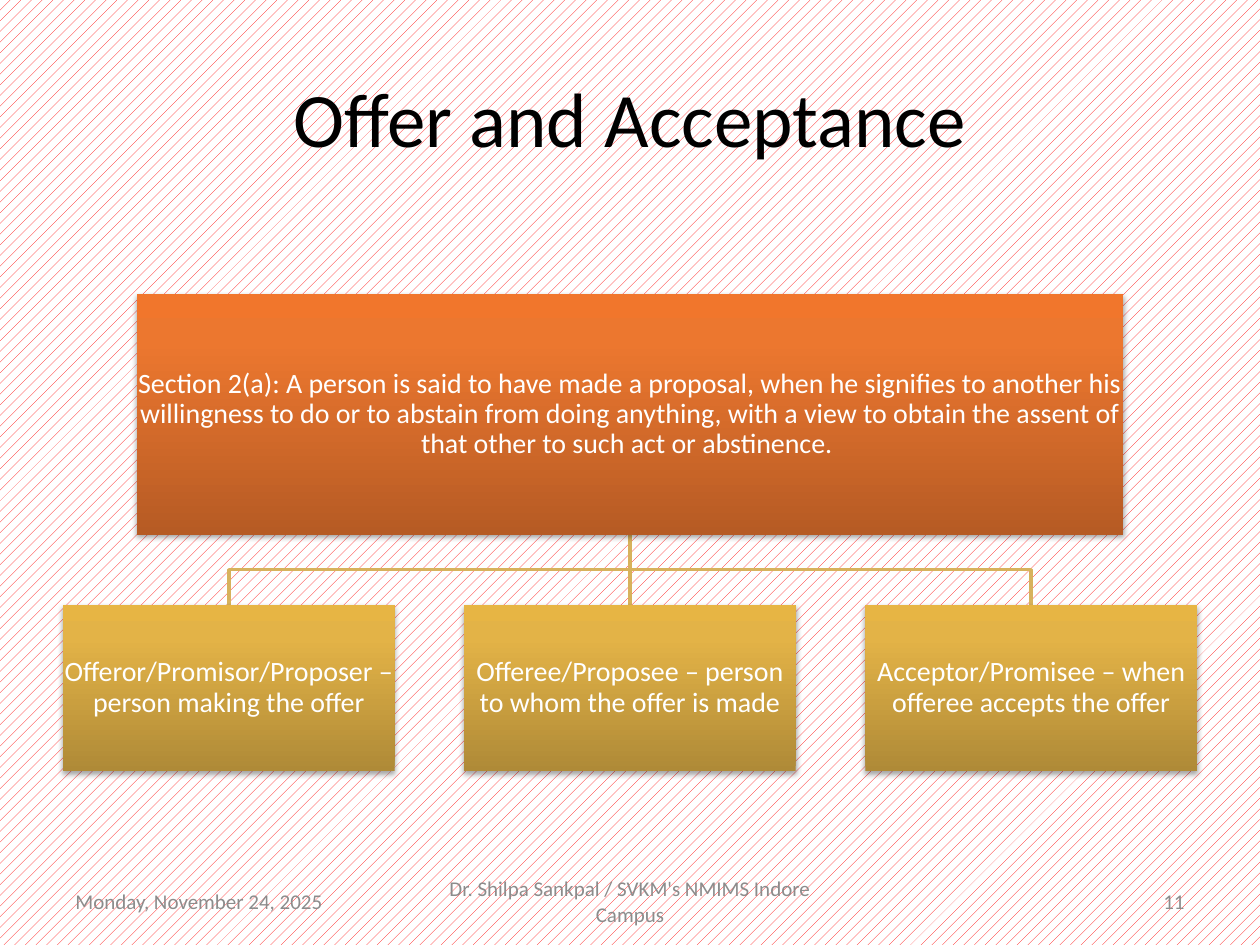
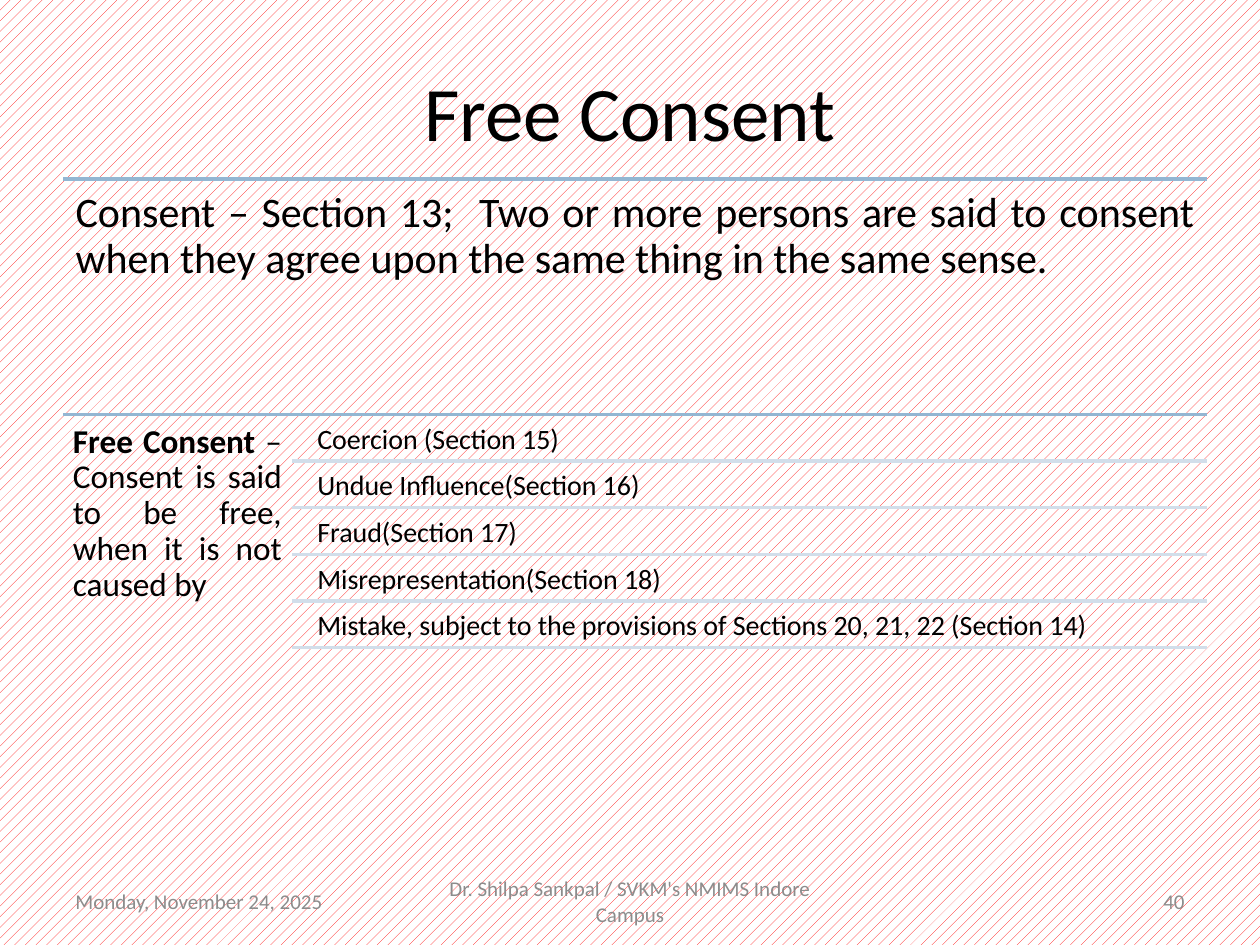
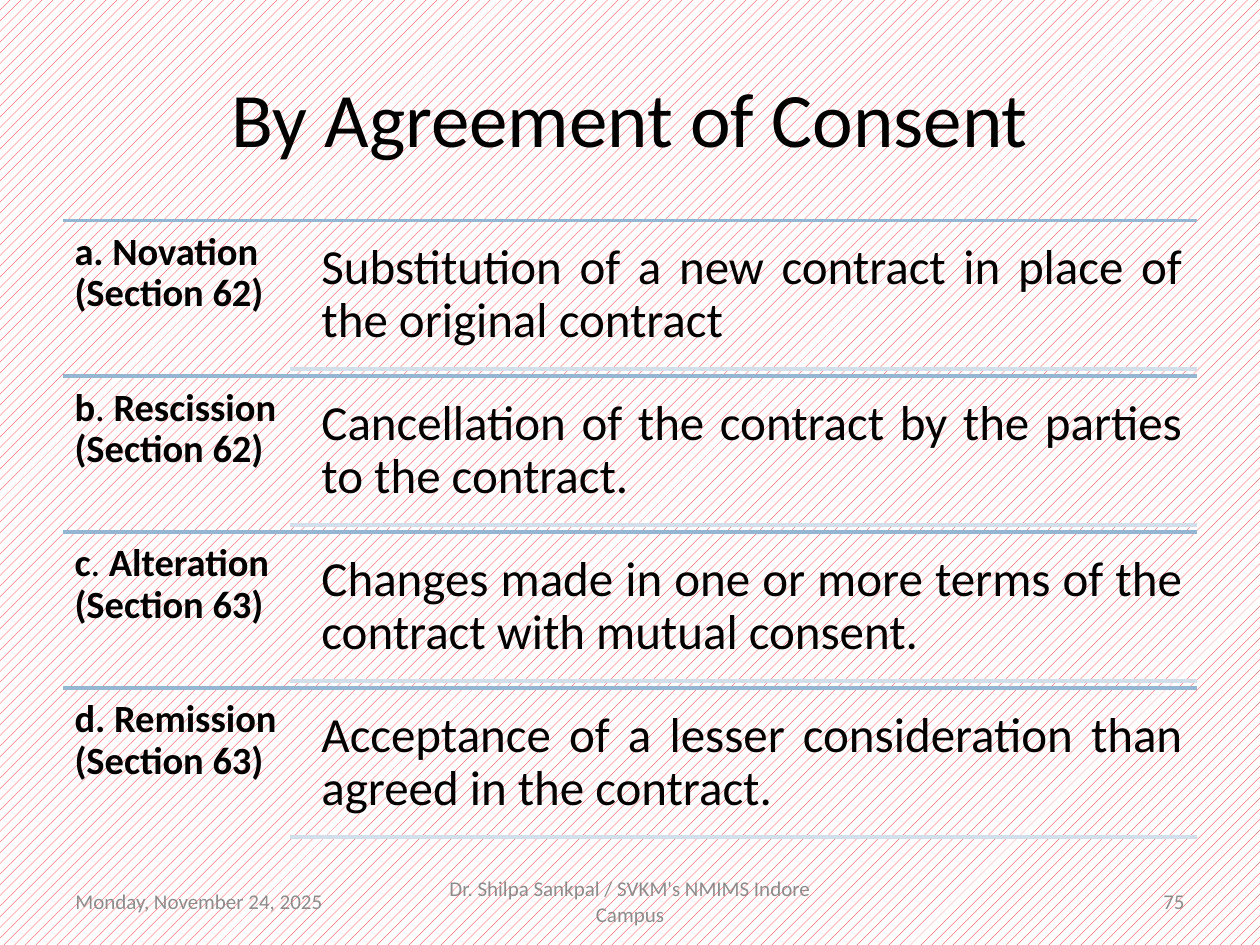
import copy
from dataclasses import dataclass

import lxml.etree
import pptx
import pptx.dml.color
import pptx.enum.dml
import pptx.enum.shapes
import pptx.enum.text
import pptx.oxml.ns
import pptx.util

Pt = pptx.util.Pt
RGB = pptx.dml.color.RGBColor.from_string
qn = pptx.oxml.ns.qn
ALIGN = pptx.enum.text.PP_ALIGN
ANCHOR = pptx.enum.text.MSO_ANCHOR


@dataclass(frozen=True)
class Theme:
    font: str = "Calibri"
    ink: str = "000000"
    white: str = "FFFFFF"
    hatch: str = "FF0000"
    muted: str = "8C8C8C"
    strong_rule: str = "94B6D2"
    soft_rule: str = "D2DEEA"
    branch: str = "D8B25C"
    orange: tuple = ("B65B24", "EC772F", "F1762C")
    gold: tuple = ("AF8A37", "E3B347", "E7B544")
    title_size: int = 44
    box_size: int = 16
    footer_size: int = 12
    rule_width: int = 2


T = Theme()
DATE = "Monday, November 24, 2025"
AUTHOR = "Dr. Shilpa Sankpal / SVKM's NMIMS Indore Campus"


# Text helpers
def write(tf, runs, size, color=T.ink, align=ALIGN.LEFT, spacing=None, inset=None,
          anchor=ANCHOR.TOP):
    """Fill a text frame with one paragraph of (text, bold) runs."""
    tf.word_wrap = True
    tf.vertical_anchor = anchor
    if inset is not None:
        tf.margin_left = tf.margin_right = tf.margin_top = tf.margin_bottom = Pt(inset)
    p = tf.paragraphs[0]
    p.alignment = align
    if spacing:
        p.line_spacing = spacing
    for text, bold in runs:
        r = p.add_run()
        r.text = text
        r.font.name = T.font
        r.font.size = Pt(size)
        r.font.bold = bold
        r.font.color.rgb = RGB(color)


def add_text(s, box, runs, size, **style):
    sp = s.shapes.add_textbox(*map(Pt, box))
    write(sp.text_frame, runs, size, **style)


# Line and box helpers
def add_rule(s, x1, y1, x2, y2, color):
    line = s.shapes.add_connector(pptx.enum.shapes.MSO_CONNECTOR.STRAIGHT,
                                  *map(Pt, (x1, y1, x2, y2)))
    line.line.color.rgb = RGB(color)
    line.line.width = Pt(T.rule_width)
    lxml.etree.SubElement(line._element.spPr, qn("a:effectLst"))


def add_elbow(s, points, color):
    start, *rest = [(Pt(x), Pt(y)) for x, y in points]
    builder = s.shapes.build_freeform(*start)
    builder.add_line_segments(rest, close=False)
    sp = builder.convert_to_shape()
    sp.fill.background()
    sp.line.color.rgb = RGB(color)
    sp.line.width = Pt(T.rule_width)
    sp.shadow.inherit = False


def add_soft_shadow(sp):
    sp.shadow.inherit = False
    effects = sp._element.spPr.find(qn("a:effectLst"))
    shadow = lxml.etree.SubElement(effects, qn("a:outerShdw"), blurRad=str(Pt(3.1)),
                                   dist=str(Pt(1.7)), dir="5400000", rotWithShape="0")
    black = lxml.etree.SubElement(shadow, qn("a:srgbClr"), val=T.ink)
    lxml.etree.SubElement(black, qn("a:alpha"), val="36000")


def add_gradient_box(s, box, text, colors):
    sp = s.shapes.add_shape(pptx.enum.shapes.MSO_SHAPE.RECTANGLE, *map(Pt, box))
    sp.fill.gradient()
    sp.fill.gradient_angle = 90
    stops = sp._element.spPr.find(".//" + qn("a:gsLst"))
    stops.append(copy.deepcopy(stops[0]))
    for stop, color, position in zip(sp.fill.gradient_stops, colors, (0, 0.8, 1)):
        stop.color.rgb = RGB(color)
        stop.position = position
    sp.line.fill.background()
    add_soft_shadow(sp)
    write(sp.text_frame, [(text, False)], T.box_size, color=T.white, align=ALIGN.CENTER,
          spacing=0.9, inset=0.72, anchor=ANCHOR.MIDDLE)


# Parts every slide shares
def add_footer(s, box, number):
    x, y, w, h = box
    side, middle = 168, 228
    cells = ((x, side, DATE, ALIGN.LEFT),
             (x + (w - middle) / 2, middle, AUTHOR, ALIGN.CENTER),
             (x + w - side, side, str(number), ALIGN.RIGHT))
    for left, width, text, align in cells:
        add_text(s, (left, y, width, h), [(text, False)], T.footer_size, color=T.muted,
                 align=align, anchor=ANCHOR.MIDDLE)


def add_base_slide(prs, title, number, title_top=21.6):
    s = prs.slides.add_slide(prs.slide_layouts[5])
    fill = s.background.fill
    fill.patterned()
    fill.pattern = pptx.enum.dml.MSO_PATTERN.PERCENT_20
    fill.fore_color.rgb = RGB(T.hatch)
    fill.back_color.rgb = RGB(T.white)
    sp = s.shapes.title
    sp.left, sp.top, sp.width, sp.height = map(Pt, (36, title_top, 648, 90))
    write(sp.text_frame, [(title, False)], T.title_size, align=ALIGN.CENTER,
          anchor=ANCHOR.MIDDLE)
    add_footer(s, (36, 500.5, 648, 28.8), number)
    return s


# Tree: one wide box above a row of equal boxes
def add_tree(s, box, root, children):
    x, y, w, h = box
    root_w, root_h, child_w, child_h = 564, 137.5, 189.5, 95
    center, root_bottom, child_top = x + w / 2, y + root_h, y + h - child_h
    bend = (root_bottom + child_top) / 2
    pitch = (w - child_w) / (len(children) - 1)
    lefts = [x + i * pitch for i in range(len(children))]

    for left in lefts:
        mid = left + child_w / 2
        if abs(mid - center) < 1:
            add_rule(s, center, root_bottom, center, child_top, T.branch)
        else:
            add_elbow(s, [(center, root_bottom), (center, bend), (mid, bend),
                          (mid, child_top)], T.branch)
    add_gradient_box(s, (center - root_w / 2, y, root_w, root_h), root, T.orange)
    for left, text in zip(lefts, children):
        add_gradient_box(s, (left, child_top, child_w, child_h), text, T.gold)


# Ruled section: a label below a strong rule, items with soft rules at its right
def add_section(s, box, label, label_size, label_align, items=(), item_size=16,
                item_align=ALIGN.LEFT):
    x, y, w, h = box
    label_w = 0.2 * w if items else w
    add_rule(s, x, y, x + w, y, T.strong_rule)
    add_text(s, (x, y, label_w, h), label, label_size, align=label_align, spacing=0.9,
             inset=0.3 * label_size)
    # Gaps around the rows are 5% of a row
    n = len(items)
    row = h / (n + 0.05 * (n + 1))
    gap = 0.05 * row
    for i, item in enumerate(items):
        top = y + gap + i * (row + gap)
        add_text(s, (x + 0.215 * w, top, 0.785 * w, row), [(item, False)], item_size,
                 align=item_align, spacing=0.9, inset=0.3 * item_size)
        add_rule(s, x + label_w, top + row, x + w, top + row, T.soft_rule)


# Slides
def offer_slide(prs):
    s = add_base_slide(prs, "Offer and Acceptance", 11)
    add_tree(s, (36, 168, 648, 272.6),
             "Section 2(a): A person is said to have made a proposal, when he signifies to "
             "another his willingness to do or to abstain from doing anything, with a view "
             "to obtain the assent of that other to such act or abstinence. ",
             ["Offeror/Promisor/Proposer – person making the offer",
              "Offeree/Proposee – person to whom the offer is made",
              "Acceptor/Promisee – when offeree accepts the offer"])


def consent_slide(prs):
    s = add_base_slide(prs, "Free Consent", 40, title_top=18)
    x, y, w, h = 36, 102.2, 653.8, 134.6
    add_section(s, (x, y, w, h),
                [("Consent – Section 13;  Two or more persons are said to consent when they "
                  "agree upon the same thing in the same sense.", False)], 24, ALIGN.JUSTIFY)
    add_section(s, (x, y + h, w, h),
                [("Free Consent", True),
                 (" – Consent is said to be free, when it is not caused by", False)],
                19, ALIGN.JUSTIFY,
                ["Coercion (Section 15)", "Undue Influence(Section 16)", "Fraud(Section 17)",
                 "Misrepresentation(Section 18)",
                 "Mistake, subject to the provisions of Sections 20, 21, 22 (Section 14)"])


def agreement_slide(prs):
    s = add_base_slide(prs, "By Agreement of Consent", 75)
    x, y, w, h = 36, 125.9, 648, 89.1
    ways = [
        ([("a. Novation (Section 62)", True)],
         "Substitution of a new contract in place of the original contract"),
        ([("b", True), (". ", False), ("Rescission (Section 62)", True)],
         "Cancellation of the contract by the parties to the contract. "),
        ([("c", True), (". ", False), ("Alteration (Section 63)", True)],
         "Changes made in one or more terms of the contract with mutual consent. "),
        ([("d. Remission (Section 63)", True)],
         "Acceptance of a lesser consideration than agreed in the contract."),
    ]
    for i, (label, meaning) in enumerate(ways):
        add_section(s, (x, y + i * h, w, h), label, 22, ALIGN.LEFT, [meaning], 28,
                    ALIGN.JUSTIFY)


def main():
    prs = pptx.Presentation()
    prs.slide_width, prs.slide_height = Pt(720), Pt(540)
    offer_slide(prs)
    consent_slide(prs)
    agreement_slide(prs)
    prs.save("out.pptx")


if __name__ == "__main__":
    main()
